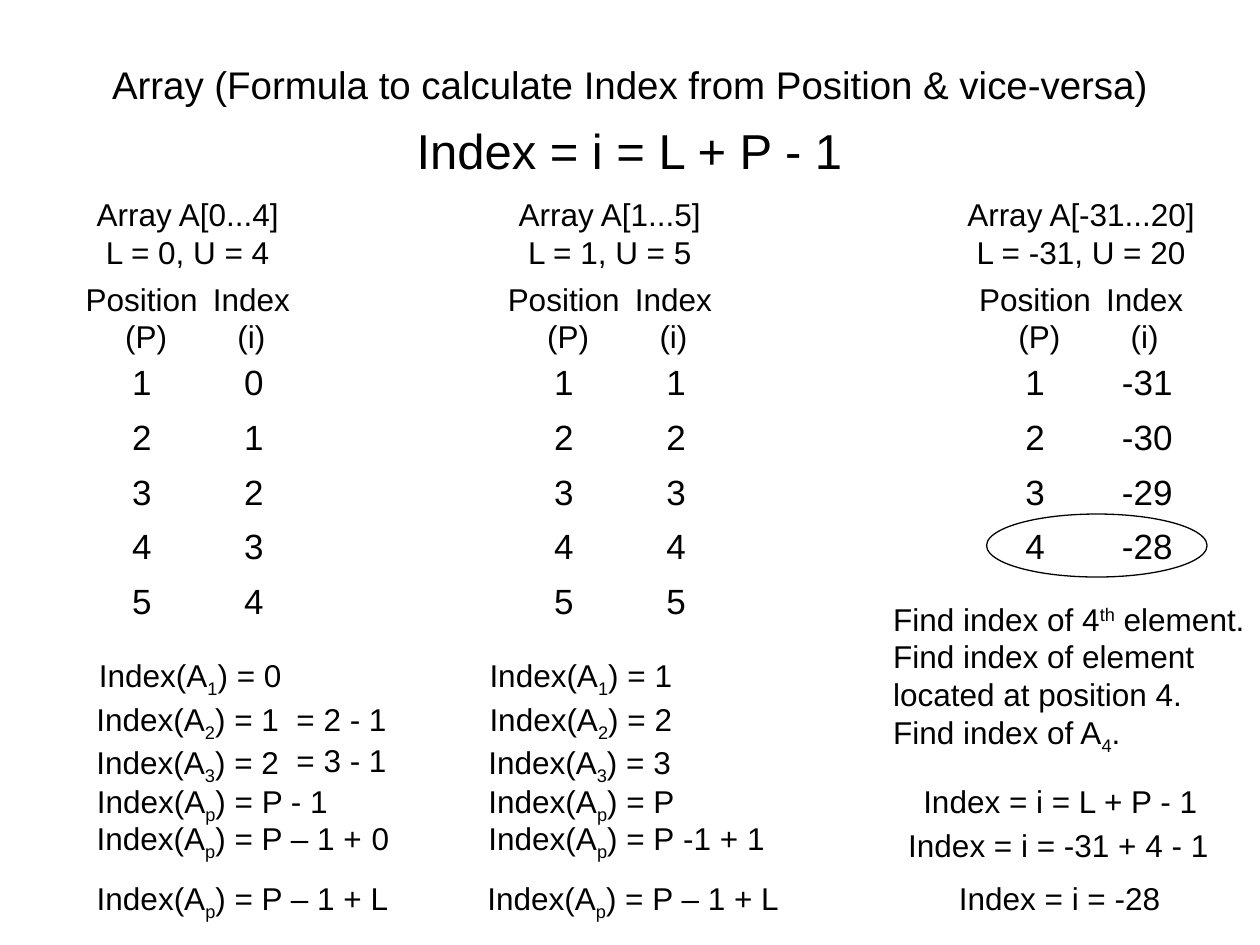
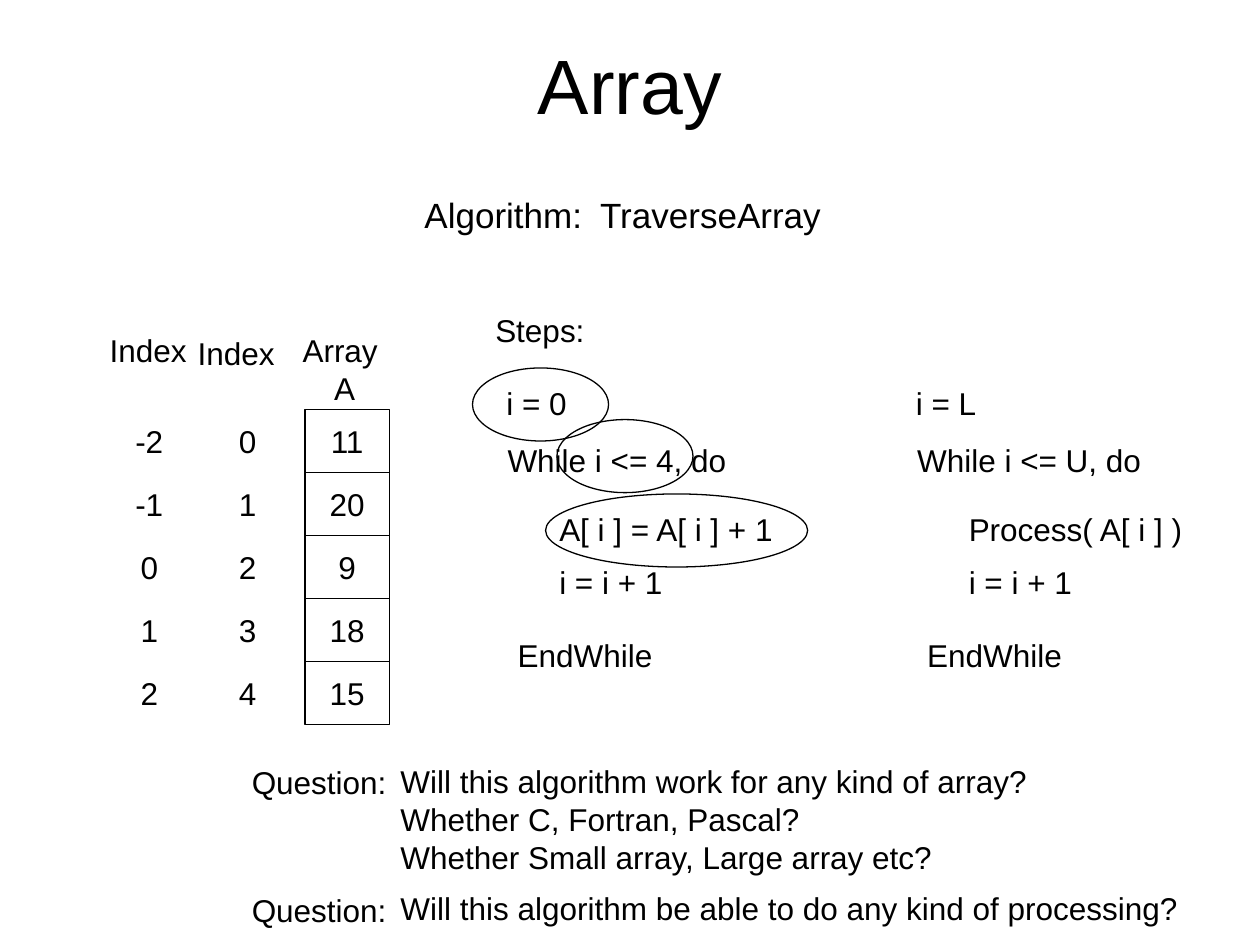
from pptx import Presentation
from pptx.dml.color import RGBColor
from pptx.enum.shapes import MSO_SHAPE
from pptx.enum.text import MSO_ANCHOR, MSO_AUTO_SIZE, PP_ALIGN
from pptx.util import Inches, Pt

WIDE, HIGH = Inches(10), Inches(7.5)
COLS, ROWS = 10, 7.5
INK = "000000"
FACE = "Arial"
BODY = 18
SUB, SUP = -25000, 30000
MID, LEFT = PP_ALIGN.CENTER, PP_ALIGN.LEFT


def hue(code):
    return RGBColor.from_string(code)


def grid(x, y, w, h):
    """Turn columns and rows of the slide grid into lengths."""
    return (round(x * WIDE / COLS), round(y * HIGH / ROWS),
            round(w * WIDE / COLS), round(h * HIGH / ROWS))


def write(frame, paras, size=BODY, align=MID):
    """Fill a frame; a run is a string or a (string, baseline shift) pair."""
    for n, runs in enumerate(paras):
        para = frame.paragraphs[0] if n == 0 else frame.add_paragraph()
        para.alignment = align
        for item in [runs] if isinstance(runs, str) else runs:
            words, shift = (item, 0) if isinstance(item, str) else item
            run = para.add_run()
            run.text = words
            run.font.name = FACE
            run.font.size = Pt(size)
            run.font.color.rgb = hue(INK)
            if shift:
                run._r.get_or_add_rPr().set("baseline", str(shift))


def text(slide, x, y, w, *paras, size=BODY, align=MID):
    """Place an unwrapped box whose height follows from its lines."""
    high = 0.1 + len(paras) * size / 60
    frame = slide.shapes.add_textbox(*grid(x, y, w, high)).text_frame
    frame.word_wrap = False
    frame.auto_size = MSO_AUTO_SIZE.SHAPE_TO_FIT_TEXT
    write(frame, paras, size, align)


def title(slide, words, size):
    frame = slide.shapes.add_textbox(*grid(0.75, 0.25, 8.5, 0.83)).text_frame
    frame.word_wrap = True
    frame.vertical_anchor = MSO_ANCHOR.MIDDLE
    write(frame, [words], size)


def shape(slide, kind, x, y, w, h):
    item = slide.shapes.add_shape(kind, *grid(x, y, w, h))
    item.shadow.inherit = False
    item.fill.background()
    item.line.color.rgb = hue(INK)
    item.line.width = Pt(0.75)
    return item


def ring(slide, x, y, w, h):
    shape(slide, MSO_SHAPE.OVAL, x, y, w, h)


def stack(slide, x, values, boxed=False):
    """Draw one value per half row, with or without a frame."""
    for n, value in enumerate(values):
        place = (x, 3.25 + n * 0.5, 0.67, 0.5)
        if boxed:
            cell = shape(slide, MSO_SHAPE.RECTANGLE, *place)
        else:
            cell = slide.shapes.add_textbox(*grid(*place))
        cell.text_frame.word_wrap = False
        cell.text_frame.vertical_anchor = MSO_ANCHOR.MIDDLE
        write(cell.text_frame, [str(value)])


def table(slide, x, values):
    """Draw a plain table of one column."""
    place = grid(x, 2.84, 0.75, 0.434 * len(values))
    grid_table = slide.shapes.add_table(len(values), 1, *place).table
    grid_table.first_row = grid_table.horz_banding = False
    for n, value in enumerate(values):
        cell = grid_table.cell(n, 0)
        cell.fill.background()
        write(cell.text_frame, [str(value)], 20)


def panel(slide, x, low, high, count, wide):
    """Show an array's bounds above its positions and indexes."""
    text(slide, x + 0.91 - wide / 2, 1.5, wide,
         f"Array A[{low}...{high}]", f"L = {low}, U = {high}")
    text(slide, x, 2.17, 1.16, "Position ", "(P)")
    text(slide, x + 1.01, 2.17, 0.81, "Index", "(i)")
    table(slide, x + 0.17, range(1, count + 1))
    table(slide, x + 1.06, range(low, low + count))


def rule(slide, x, y, w, sub, value):
    text(slide, x, y, w, ["Index(A", (sub, SUB), f") = {value}"])


def steps(slide, x, start, end, work, wide):
    """List the traversal loop with its start, end and body."""
    for dx, y, w, line in [
        (0, 3, 0.68, f"i = {start}"),
        (0.01, 3.45, wide, f"While i <= {end}, do"),
        (0.42, 4, 1.91, work),
        (0.42, 4.42, 1.02, "i = i + 1"),
        (0.09, 5, 1.27, "EndWhile"),
    ]:
        text(slide, x + dx, y, w, line, align=LEFT)


def ask(slide, y, w, *lines):
    text(slide, 1.9, y + 0.01, 1.27, "Question:", align=LEFT)
    text(slide, 3.08, y, w, *lines, align=LEFT)


def formula(slide):
    title(slide, "Array (Formula to calculate Index from Position & vice-versa)", 22)
    text(slide, 3.19, 0.91, 3.61, "Index = i = L + P - 1", size=28)
    panel(slide, 0.58, 0, 4, 5, 1.66)
    panel(slide, 3.93, 1, 5, 5, 1.66)
    panel(slide, 7.67, -31, 20, 4, 2.02)
    ring(slide, 7.83, 4.08, 1.75, 0.5)

    for x, y, w, sub, value in [
        (0.68, 5.16, 1.66, "1", "0"),
        (0.66, 5.51, 1.66, "2", "1"),
        (0.66, 5.85, 1.66, "3", "2"),
        (0.66, 6.16, 2.05, "p", "P - 1"),
        (0.66, 6.45, 2.32, "p", "P – 1 +"),
        (0.66, 6.93, 2.53, "p", "P – 1 + L"),
        (3.78, 5.16, 1.66, "1", "1"),
        (3.78, 5.51, 1.66, "2", "2"),
        (3.77, 5.85, 1.66, "3", "3"),
        (3.77, 6.16, 1.69, "p", "P"),
        (3.77, 6.45, 1.69, "p", "P"),
        (3.76, 6.93, 2.53, "p", "P – 1 + L"),
    ]:
        rule(slide, x, y, w, sub, value)
    for x, y, w, line in [
        (2.25, 5.51, 0.92, "= 2 - 1"),
        (2.25, 5.83, 0.92, "= 3 - 1"),
        (2.85, 6.45, 0.34, "0"),
        (5.32, 6.45, 0.85, "-1 + 1"),
        (7.22, 6.16, 2.39, "Index = i = L + P - 1"),
        (7.11, 6.51, 2.58, "Index = i = -31 + 4 - 1"),
        (7.51, 6.93, 1.8, "Index = i = -28"),
    ]:
        text(slide, x, y, w, line)
    text(slide, 6.99, 4.71, 3.01,
         ["Find index of 4", ("th", SUP), " element."],
         "Find index of element", "located at position 4.",
         ["Find index of A", ("4", SUB), "."], align=LEFT)


def traverse(slide):
    title(slide, "Array", 44)
    text(slide, 3.27, 1.49, 1.45, "Algorithm:", size=20)
    text(slide, 4.66, 1.49, 1.96, "TraverseArray", size=20)

    text(slide, 0.77, 2.58, 0.81, "Index")
    text(slide, 1.47, 2.6, 0.81, "Index")
    text(slide, 2.3, 2.58, 0.87, "Array ", "A")
    stack(slide, 0.85, range(-2, 3))
    stack(slide, 1.63, range(5))
    stack(slide, 2.42, [11, 20, 9, 18, 15], boxed=True)

    text(slide, 3.83, 2.42, 0.91, "Steps:")
    steps(slide, 3.92, "0", "4", "A[ i ] = A[ i ] + 1", 1.94)
    steps(slide, 7.17, "L", "U", "Process( A[ i ] )", 1.98)
    for x, y, w in [(3.75, 2.92, 1.08), (4.42, 3.33, 1.08), (4.33, 3.92, 2.08)]:
        ring(slide, x, y, w, 0.58)

    ask(slide, 6, 5.3, "Will this algorithm work for any kind of array?",
        "Whether C, Fortran, Pascal?", "Whether Small array, Large array etc?")
    ask(slide, 7.01, 6.45,
        "Will this algorithm be able to do any kind of processing?")


def main():
    deck = Presentation()
    deck.slide_width, deck.slide_height = WIDE, HIGH
    for build in (formula, traverse):
        build(deck.slides.add_slide(deck.slide_layouts[6]))
    deck.save("out.pptx")


if __name__ == "__main__":
    main()
